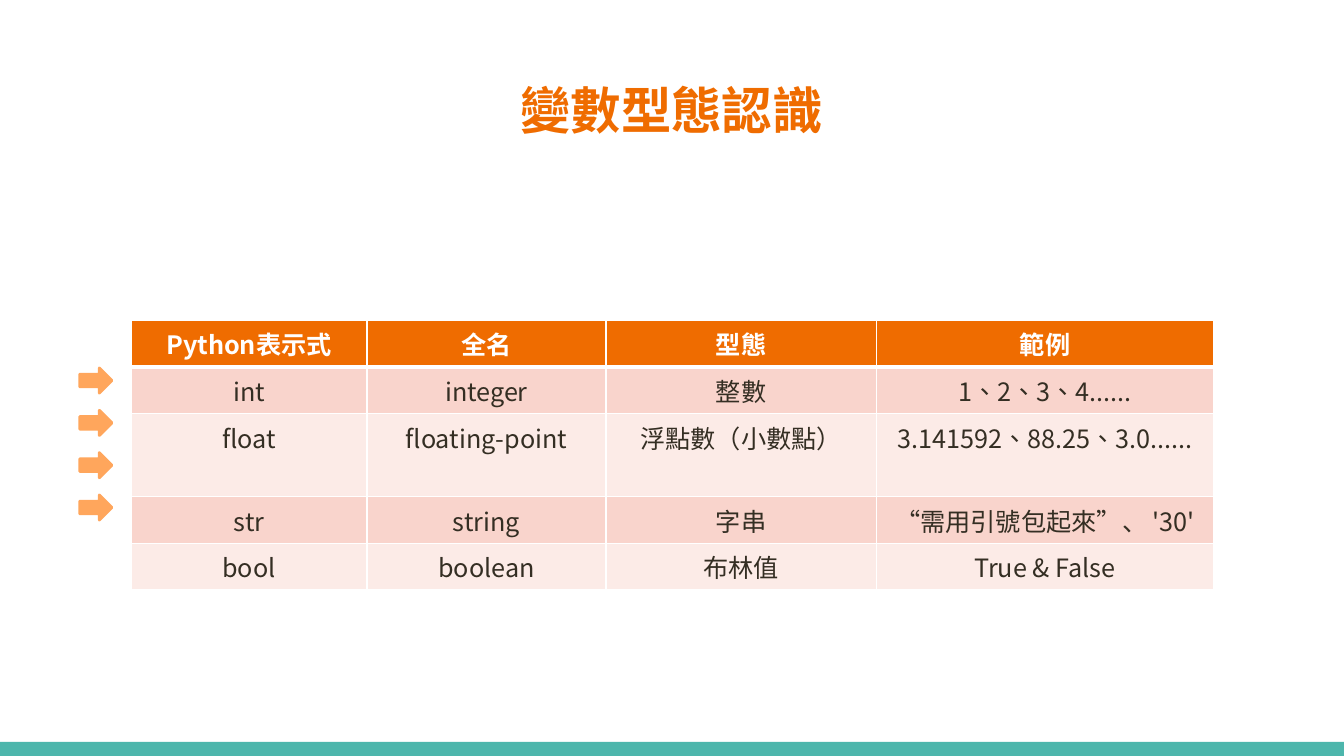
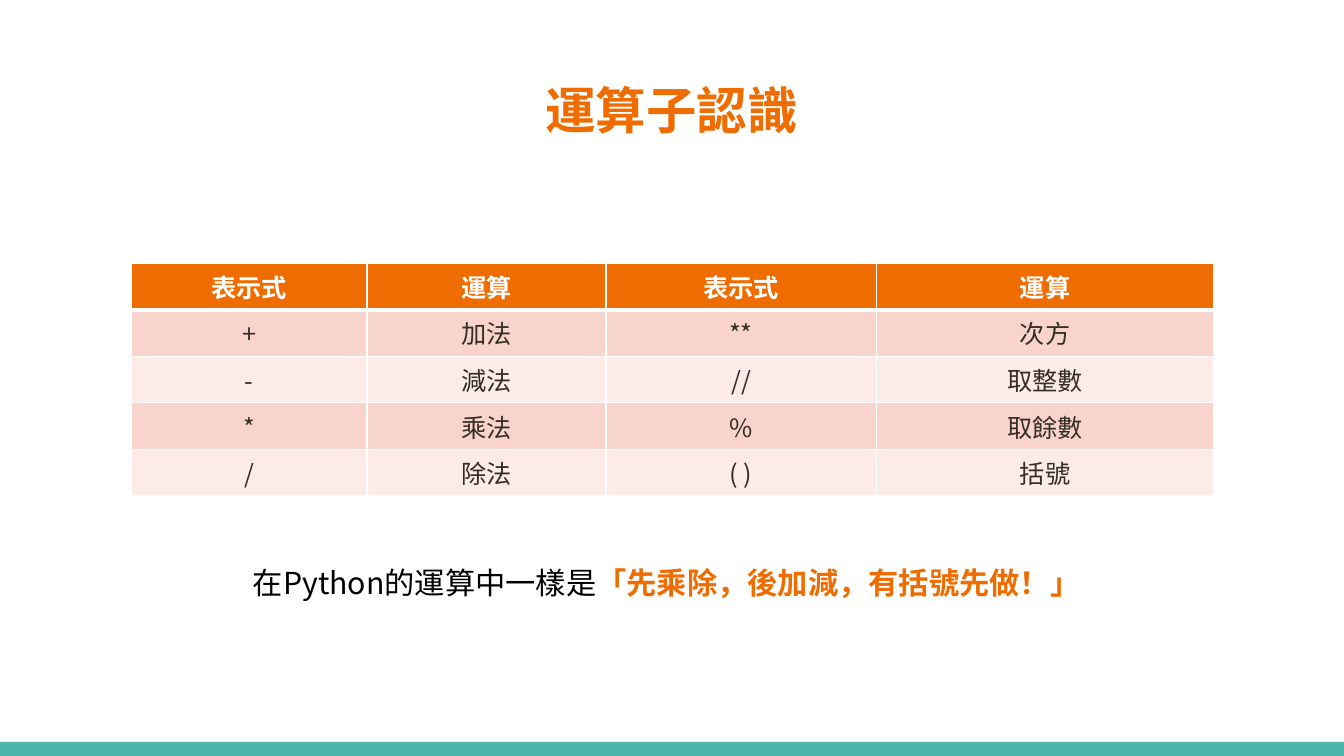
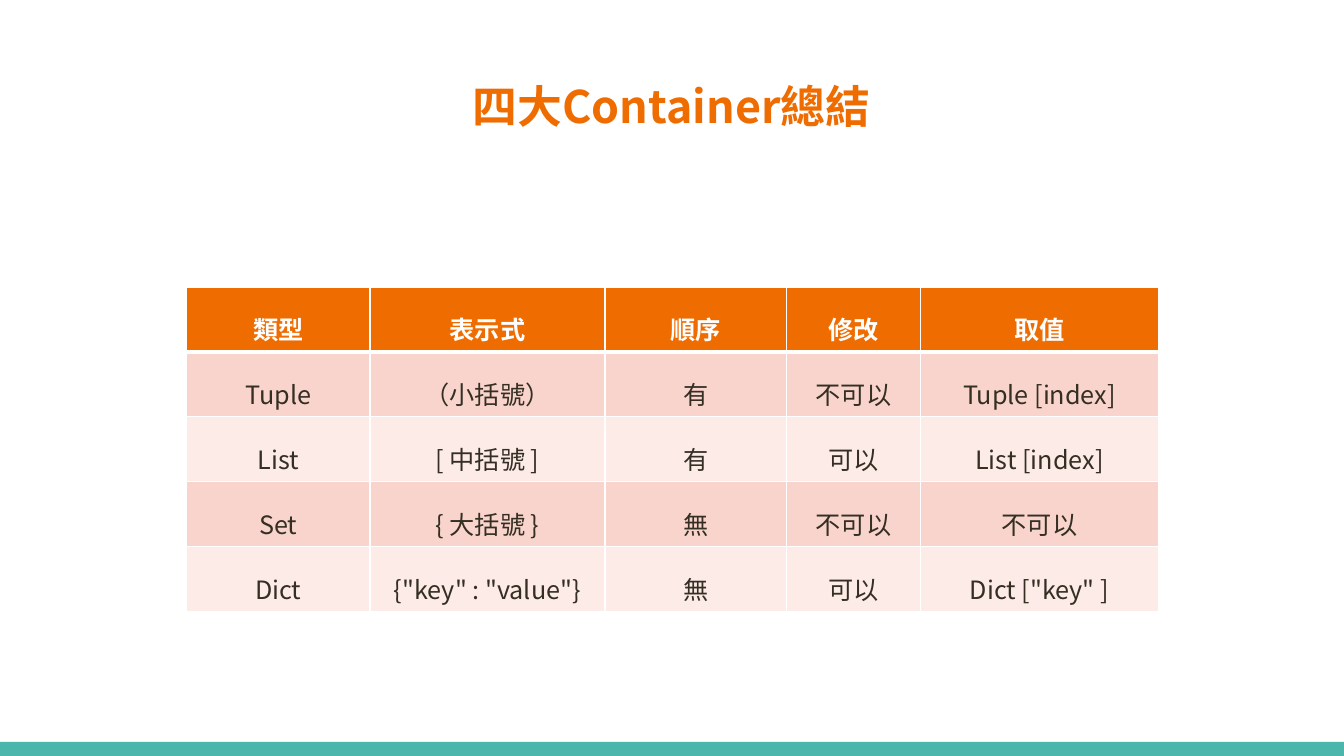
from lxml import etree
from pptx import Presentation
from pptx.dml.color import RGBColor
from pptx.enum.shapes import MSO_SHAPE
from pptx.enum.text import MSO_ANCHOR, PP_ALIGN
from pptx.oxml.ns import qn
from pptx.util import Inches, Pt

RECT, ARROW = MSO_SHAPE.RECTANGLE, MSO_SHAPE.RIGHT_ARROW
CENTER, TOP = PP_ALIGN.CENTER, MSO_ANCHOR.TOP
FONT = "Noto Sans CJK TC"
COLORS = {
    "orange": "EF6C00", "teal": "4DB6AC", "arrow": "FFA65C",
    "dark": "F9D4CC", "light": "FCEBE7",
    "ink": "342E23", "white": "FFFFFF", "black": "000000",
}
WIDE = [2.34, 2.37, 2.68, 3.35]

SLIDES = [
    {
        "title": "變數型態認識", "size": 36, "at": (1.3, 3.18),
        "cols": WIDE, "space": 1,
        "rows": [
            ["Python表示式", "全名", "型態", "範例"],
            ["int", "integer", "整數", "1、2、3、4......"],
            ["float", "floating-point", "浮點數（小數點）", "3.141592、88.25、3.0......"],
            ["str", "string", "字串", "“需用引號包起來”、 '30'"],
            ["bool", "boolean", "布林值", "True & False"],
        ],
        "arrows": 4,
    },
    {
        "title": "運算子認識", "size": 36, "at": (1.3, 2.61),
        "cols": WIDE, "space": 1,
        "rows": [
            ["表示式", "運算", "表示式", "運算"],
            ["+", "加法", "**", "次方"],
            ["-", "減法", "//", "取整數"],
            ["*", "乘法", "%", "取餘數"],
            ["/", "除法", "( )", "括號"],
        ],
        "note": ["在Python的運算中一樣是", "「先乘除，後加減，有括號先做！」"],
    },
    {
        "title": "四大Container總結", "size": 32, "at": (1.85, 2.85),
        "cols": [1.82, 2.33, 1.8, 1.33, 2.36], "space": 1.5,
        "rows": [
            ["類型", "表示式", "順序", "修改", "取值"],
            ["Tuple", "（小括號）", "有", "不可以", "Tuple [index]"],
            ["List", "[ 中括號 ]", "有", "可以", "List [index]"],
            ["Set", "{ 大括號 }", "無", "不可以", "不可以"],
            ["Dict", '{"key" : "value"}', "無", "可以", 'Dict ["key" ]'],
        ],
    },
]


def rgb(name):
    return RGBColor.from_string(COLORS[name])


def style(run, size, color, bold=False):
    font = run.font
    font.size, font.bold, font.name = Pt(size), bold, FONT
    font.color.rgb = rgb(color)
    east = etree.SubElement(font._element, qn("a:ea"))
    east.set("typeface", FONT)


def add_block(slide, kind, left, top, width, height, color):
    block = slide.shapes.add_shape(
        kind, Inches(left), Inches(top), Inches(width), Inches(height))
    block.shadow.inherit = False
    block.fill.solid()
    block.fill.fore_color.rgb = rgb(color)
    block.line.fill.background()
    return block


def add_title(slide, text, size):
    title = slide.shapes.title
    title.left, title.top = Inches(0.45), Inches(0.65)
    title.width, title.height = Inches(12.42), Inches(1.03)
    frame = title.text_frame
    frame.text = text
    frame.vertical_anchor = TOP
    frame.margin_left = frame.margin_right = Inches(0.13)
    frame.margin_top = frame.margin_bottom = Inches(0.13)
    para = frame.paragraphs[0]
    para.alignment = CENTER
    style(para.runs[0], size, "orange", True)


def set_border(cell, row):
    """White 1 pt lines, with 3 pt between the header and the body."""
    props = cell._tc.get_or_add_tcPr()
    thick = {0: "lnB", 1: "lnT"}.get(row)
    for side in ("lnL", "lnR", "lnT", "lnB"):
        line = etree.SubElement(props, qn("a:" + side))
        line.set("w", str(Pt(3 if side == thick else 1)))
        fill = etree.SubElement(line, qn("a:solidFill"))
        etree.SubElement(fill, qn("a:srgbClr")).set("val", COLORS["white"])


def add_grid(slide, rows, cols, at, space):
    left, top = at
    height = 0.41
    table = slide.shapes.add_table(
        len(rows), len(cols), Inches(left), Inches(top),
        Inches(sum(cols)), Inches(height * len(rows))).table
    for col, width in zip(table.columns, cols):
        col.width = Inches(width)
    for r, row in enumerate(rows):
        head = r == 0
        shade = "orange" if head else "dark" if r % 2 else "light"
        for c, text in enumerate(row):
            cell = table.cell(r, c)
            set_border(cell, r)
            cell.fill.solid()
            cell.fill.fore_color.rgb = rgb(shade)
            para = cell.text_frame.paragraphs[0]
            para.text = text
            para.alignment = CENTER
            para.line_spacing = float(space)
            style(para.runs[0], 18, "white" if head else "ink", head)


def add_arrows(slide, count):
    for i in range(count):
        arrow = add_block(slide, ARROW, 0.79, 3.65 + 0.42 * i, 0.32, 0.25, "arrow")
        arrow.line.color.rgb = rgb("arrow")
        arrow.line.width = Pt(2)


def add_note(slide, plain, strong):
    box = slide.shapes.add_textbox(
        Inches(2.41), Inches(5.59), Inches(8.52), Inches(0.51))
    box.text_frame.word_wrap = True
    para = box.text_frame.paragraphs[0]
    para.line_spacing = 0.9
    for text, color, bold in ((plain, "black", False), (strong, "orange", True)):
        run = para.add_run()
        run.text = text
        style(run, 21.6, color, bold)


def main():
    deck = Presentation()
    deck.slide_width, deck.slide_height = Inches(13.33), Inches(7.5)
    layout = deck.slide_layouts[5]
    for data in SLIDES:
        slide = deck.slides.add_slide(layout)
        add_block(slide, RECT, 0, 7.36, 13.33, 0.14, "teal")
        add_title(slide, data["title"], data["size"])
        add_grid(slide, data["rows"], data["cols"], data["at"], data["space"])
        add_arrows(slide, data.get("arrows", 0))
        if "note" in data:
            add_note(slide, *data["note"])
    deck.save("out.pptx")


if __name__ == "__main__":
    main()
